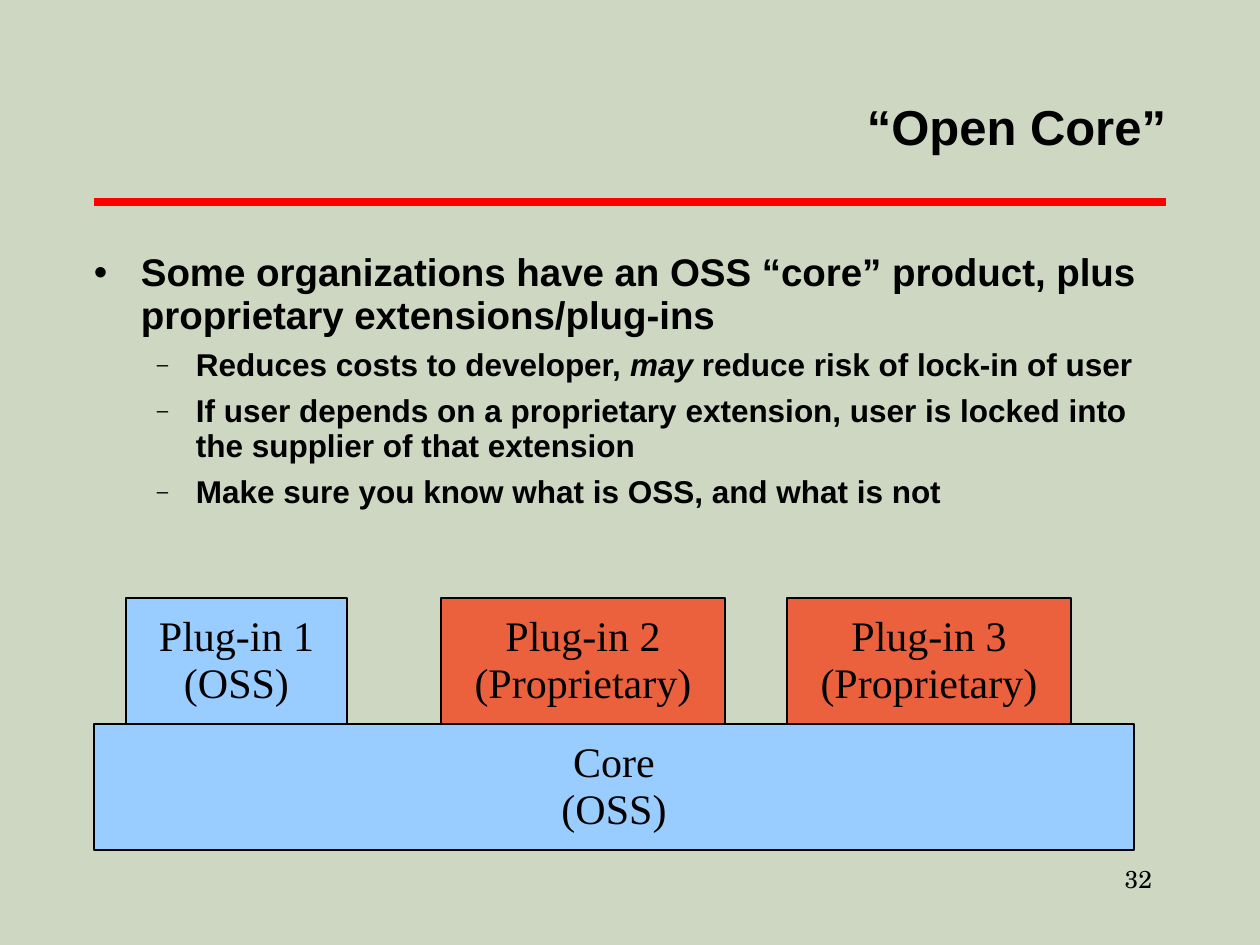
from dataclasses import dataclass

from lxml import etree
from pptx import Presentation
from pptx.dml.color import RGBColor
from pptx.enum.shapes import MSO_CONNECTOR, MSO_SHAPE
from pptx.enum.text import MSO_ANCHOR, PP_ALIGN
from pptx.oxml.ns import qn
from pptx.util import Emu, Pt

ROUNDED = MSO_SHAPE.ROUNDED_RECTANGLE
STRAIGHT = MSO_CONNECTOR.STRAIGHT
TOP, MIDDLE = MSO_ANCHOR.TOP, MSO_ANCHOR.MIDDLE
LEFT, CENTER, RIGHT = PP_ALIGN.LEFT, PP_ALIGN.CENTER, PP_ALIGN.RIGHT
PX_PER_INCH = 126


@dataclass(frozen=True)
class Theme:
    background: str = "CDD7C1"
    ink: str = "000000"
    rule: str = "FF0000"
    oss: str = "99CCFF"
    proprietary: str = "EB613D"
    heading_font: str = "Arial"
    block_font: str = "Times New Roman"
    number_font: str = "TeX Gyre Schola"
    title_size: int = 28
    point_size: int = 22
    subpoint_size: int = 18
    block_size: int = 24
    number_size: int = 14
    line_spacing: float = 0.93


@dataclass(frozen=True)
class Bullet:
    char: str
    level: int
    margin: int
    hang: int
    percent: int
    space_before: int


THEME = Theme()
POINT = Bullet("•", 0, 47, 47, 100, 0)
SUBPOINT = Bullet("–", 1, 102, 39, 65, 6)

SUBPOINTS = [
    [("Reduces costs to developer, ", False), ("may", True),
     (" reduce risk of lock-in of user", False)],
    [("If user depends on a proprietary extension, user is locked into "
      "the supplier of that extension", False)],
    [("Make sure you know what is OSS, and what is not", False)],
]

# left, top, width, height, fill, name, licence
BLOCKS = [
    (94, 724, 1040, 126, THEME.oss, "Core", "(OSS)"),
    (126, 598, 221, 126, THEME.oss, "Plug-in 1", "(OSS)"),
    (441, 598, 284, 126, THEME.proprietary, "Plug-in 2", "(Proprietary)"),
    (787, 598, 284, 126, THEME.proprietary, "Plug-in 3", "(Proprietary)"),
]


def px(length):
    return Emu(round(length * 914400 / PX_PER_INCH))


def rgb(code):
    return RGBColor.from_string(code)


def set_up_frame(frame, anchor, inset_x=0, inset_y=0):
    frame.word_wrap = True
    frame.vertical_anchor = anchor
    frame.margin_left = frame.margin_right = px(inset_x)
    frame.margin_top = frame.margin_bottom = px(inset_y)


def add_text_box(page, left, top, width, height, anchor, inset_x=0, inset_y=0):
    box = page.shapes.add_textbox(px(left), px(top), px(width), px(height))
    set_up_frame(box.text_frame, anchor, inset_x, inset_y)
    return box.text_frame


def add_para(frame, align):
    """Start a paragraph, using the empty first one of a new frame."""
    first = frame.paragraphs[0]
    para = frame.add_paragraph() if first.runs else first
    para.alignment = align
    para.line_spacing = THEME.line_spacing
    return para


def add_span(para, text, font, size, bold=False, italic=False):
    span = para.add_run()
    span.text = text
    span.font.name = font
    span.font.size = Pt(size)
    span.font.bold = bold
    span.font.italic = italic
    span.font.color.rgb = rgb(THEME.ink)


def set_bullet(para, bullet):
    para.level = bullet.level
    para.space_before = Pt(bullet.space_before)
    props = para._p.get_or_add_pPr()
    props.set("marL", str(px(bullet.margin)))
    props.set("indent", str(-px(bullet.hang)))
    color = etree.SubElement(props, qn("a:buClr"))
    etree.SubElement(color, qn("a:srgbClr"), val=THEME.ink)
    etree.SubElement(props, qn("a:buSzPct"), val=str(bullet.percent * 1000))
    etree.SubElement(props, qn("a:buFont"), typeface=THEME.heading_font)
    etree.SubElement(props, qn("a:buChar"), char=bullet.char)


def add_bullet_para(frame, bullet, spans, size):
    para = add_para(frame, LEFT)
    set_bullet(para, bullet)
    for text, italic in spans:
        add_span(para, text, THEME.heading_font, size, True, italic)


def add_rule(page, left, right, y):
    rule = page.shapes.add_connector(STRAIGHT, px(left), px(y), px(right), px(y))
    rule.line.color.rgb = rgb(THEME.rule)
    rule.line.width = Pt(5)
    etree.SubElement(rule._element.spPr, qn("a:effectLst"))


def add_block(page, left, top, width, height, fill, *lines):
    block = page.shapes.add_shape(ROUNDED, px(left), px(top), px(width), px(height))
    block.adjustments[0] = 0
    block.shadow.inherit = False
    block.fill.solid()
    block.fill.fore_color.rgb = rgb(fill)
    block.line.color.rgb = rgb(THEME.ink)
    block.line.width = Pt(0.75)
    set_up_frame(block.text_frame, MIDDLE, 13, 6)
    for text in lines:
        para = add_para(block.text_frame, CENTER)
        add_span(para, text, THEME.block_font, THEME.block_size)


def main():
    deck = Presentation()
    deck.slide_width, deck.slide_height = px(1260), px(945)
    page = deck.slides.add_slide(deck.slide_layouts[6])
    page.background.fill.solid()
    page.background.fill.fore_color.rgb = rgb(THEME.background)

    add_rule(page, 94, 1166, 202)
    number = add_text_box(page, 955, 861, 210, 42, TOP, 13, 6)
    add_span(add_para(number, RIGHT), "32", THEME.number_font, THEME.number_size)

    title = add_text_box(page, 284, 78, 882, 103, MIDDLE)
    add_span(add_para(title, RIGHT), "“Open Core”",
             THEME.heading_font, THEME.title_size, True)

    body = add_text_box(page, 94, 252, 1072, 658, TOP)
    point = [("Some organizations have an OSS “core” product, plus "
              "proprietary extensions/plug-ins", False)]
    add_bullet_para(body, POINT, point, THEME.point_size)
    for spans in SUBPOINTS:
        add_bullet_para(body, SUBPOINT, spans, THEME.subpoint_size)

    for block in BLOCKS:
        add_block(page, *block)
    deck.save("out.pptx")


if __name__ == "__main__":
    main()
